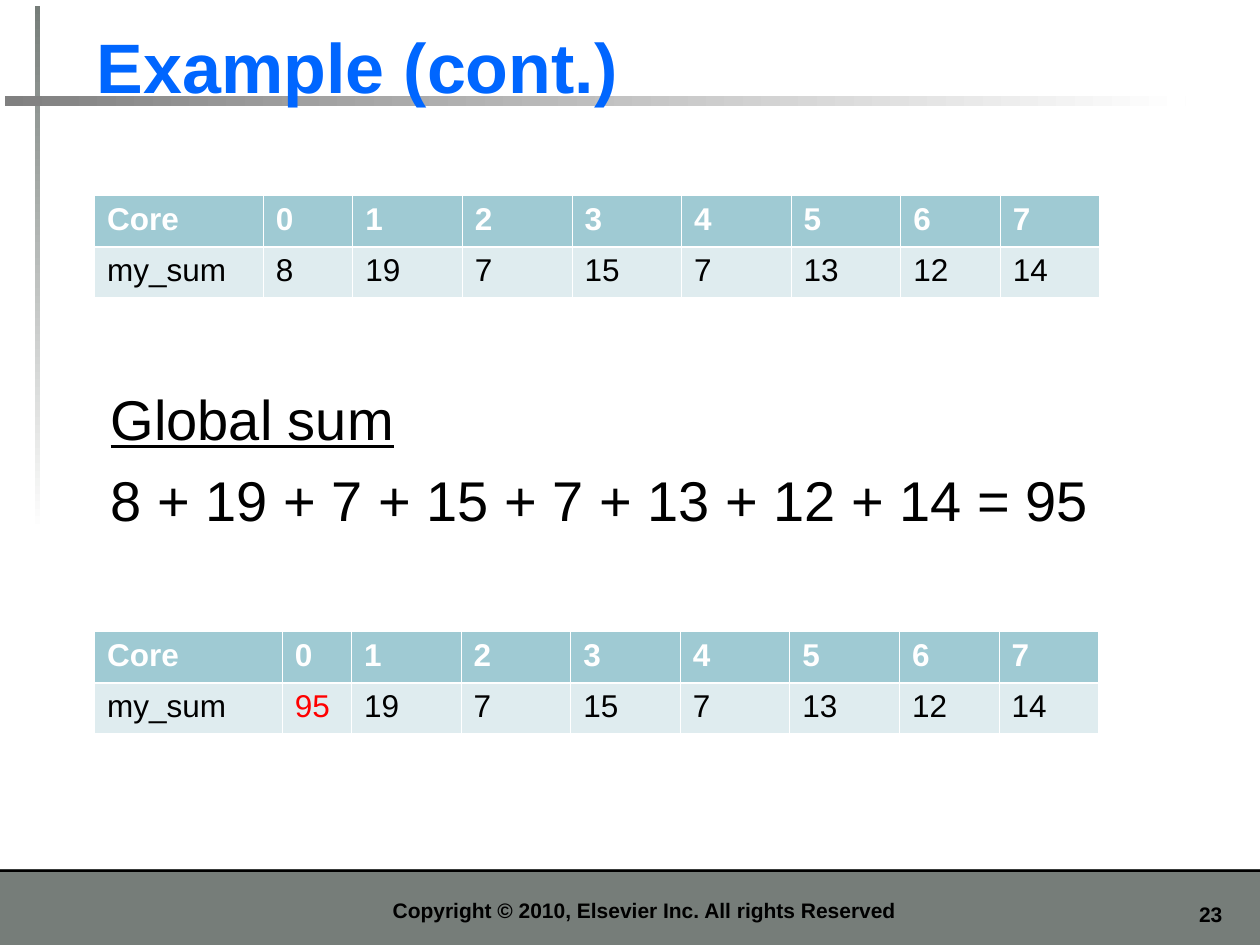
from lxml.etree import SubElement
from pptx import Presentation
from pptx.dml.color import RGBColor
from pptx.enum.shapes import MSO_SHAPE as Shape
from pptx.enum.text import MSO_ANCHOR as Anchor, PP_ALIGN as Align
from pptx.oxml.ns import qn
from pptx.util import Inches, Pt

rgb = RGBColor.from_string
FONT = "Arial"
BLACK, WHITE, GREY = "000000", "FFFFFF", "767D79"

deck = Presentation()
deck.slide_width, deck.slide_height = Inches(10), Inches(7.5)
slide = deck.slides.add_slide(deck.slide_layouts[6])
shapes = slide.shapes


def add_bar(left, top, width, height, color, fade_angle=None):
    """Add a borderless bar, fading to white along fade_angle if one is given."""
    bar = shapes.add_shape(Shape.RECTANGLE, *map(Inches, (left, top, width, height)))
    bar.shadow.inherit = False
    bar.line.fill.background()
    if fade_angle is None:
        bar.fill.solid()
        bar.fill.fore_color.rgb = rgb(color)
    else:
        bar.fill.gradient()
        bar.fill.gradient_angle = fade_angle
        for stop, stop_color in zip(bar.fill.gradient_stops, (color, WHITE)):
            stop.color.rgb = rgb(stop_color)


def add_text(box, lines, size, color=BLACK, bold=False, align=Align.LEFT,
             anchor=Anchor.TOP, wrap=True, gap=0):
    """Add a text box of (text, underlined) lines, set gap points apart."""
    frame = shapes.add_textbox(*map(Inches, box)).text_frame
    frame.word_wrap = wrap
    frame.vertical_anchor = anchor
    for number, (text, underlined) in enumerate(lines):
        paragraph = frame.add_paragraph() if number else frame.paragraphs[0]
        paragraph.alignment = align
        if number:
            paragraph.space_before = Pt(gap)
        run = paragraph.add_run()
        run.text = text
        run.font.name, run.font.size, run.font.bold = FONT, Pt(size), bold
        run.font.underline = underlined
        run.font.color.rgb = rgb(color)


# Footer band and the crossing rules behind the title
footer_top = 6.9
add_bar(0, footer_top, 10, 7.5 - footer_top, GREY)
add_bar(0, footer_top, 10, 0.02, BLACK)
add_bar(0.28, 0.05, 0.04, 4.17, GREY, fade_angle=270)
add_bar(0.04, 0.76, 9.37, 0.08, "808080", fade_angle=0)

add_text((9.17, 7.11, 0.63, 0.3), [("23", False)], 12, bold=True, align=Align.RIGHT)
add_text((0.67, 0.13, 9.06, 0.77), [("Example (cont.)", False)], 40, "0066FF",
         bold=True, anchor=Anchor.BOTTOM)
add_text((1.14, 6.98, 7.95, 0.39),
         [("Copyright © 2010, Elsevier Inc. All rights Reserved", False)], 12,
         bold=True, align=Align.CENTER, anchor=Anchor.BOTTOM)

# Partial sums before and after core 0 collects the total
sums = [8, 19, 7, 15, 7, 13, 12, 14]
total = sum(sums)
addition = " + ".join(map(str, sums)) + f" = {total}"
add_text((0.78, 3, 7.97, 1.28), [("Global sum", True), (addition, False)], 32,
         wrap=False, gap=8)

core_widths = [0.87] * 5 + [0.79] * 2
row_heights = [0.41, 0.4]
header = ["Core", *range(len(sums))]
states = [(1.55, [1.34, 0.71], sums, BLACK),
          (5.01, [1.49, 0.55], [total] + sums[1:], "FF0000")]

for top, first_widths, core_sums, core_0_color in states:
    widths = first_widths + core_widths
    rows = [header, ["my_sum", *core_sums]]
    table = shapes.add_table(len(rows), len(widths), Inches(0.75), Inches(top),
                             Inches(sum(widths)), Inches(sum(row_heights))).table
    for column, width in zip(table.columns, widths):
        column.width = Inches(width)
    for r, values in enumerate(rows):
        table.rows[r].height = Inches(row_heights[r])
        is_header = r == 0
        thick_side = "lnB" if is_header else "lnT"
        for c, value in enumerate(values):
            cell = table.cell(r, c)
            properties = cell._tc.get_or_add_tcPr()
            for side in ("lnL", "lnR", "lnT", "lnB"):
                weight = Pt(1.47 if side == thick_side else 0.45)
                border = SubElement(properties, qn(f"a:{side}"), w=str(weight))
                paint = SubElement(border, qn("a:solidFill"))
                SubElement(paint, qn("a:srgbClr"), val=WHITE)
            cell.fill.solid()
            cell.fill.fore_color.rgb = rgb("9FCAD3" if is_header else "DFECEF")
            run = cell.text_frame.paragraphs[0].add_run()
            run.text = str(value)
            run.font.name, run.font.size, run.font.bold = FONT, Pt(18), is_header
            body_color = core_0_color if c == 1 else BLACK
            run.font.color.rgb = rgb(WHITE if is_header else body_color)

deck.save("out.pptx")
